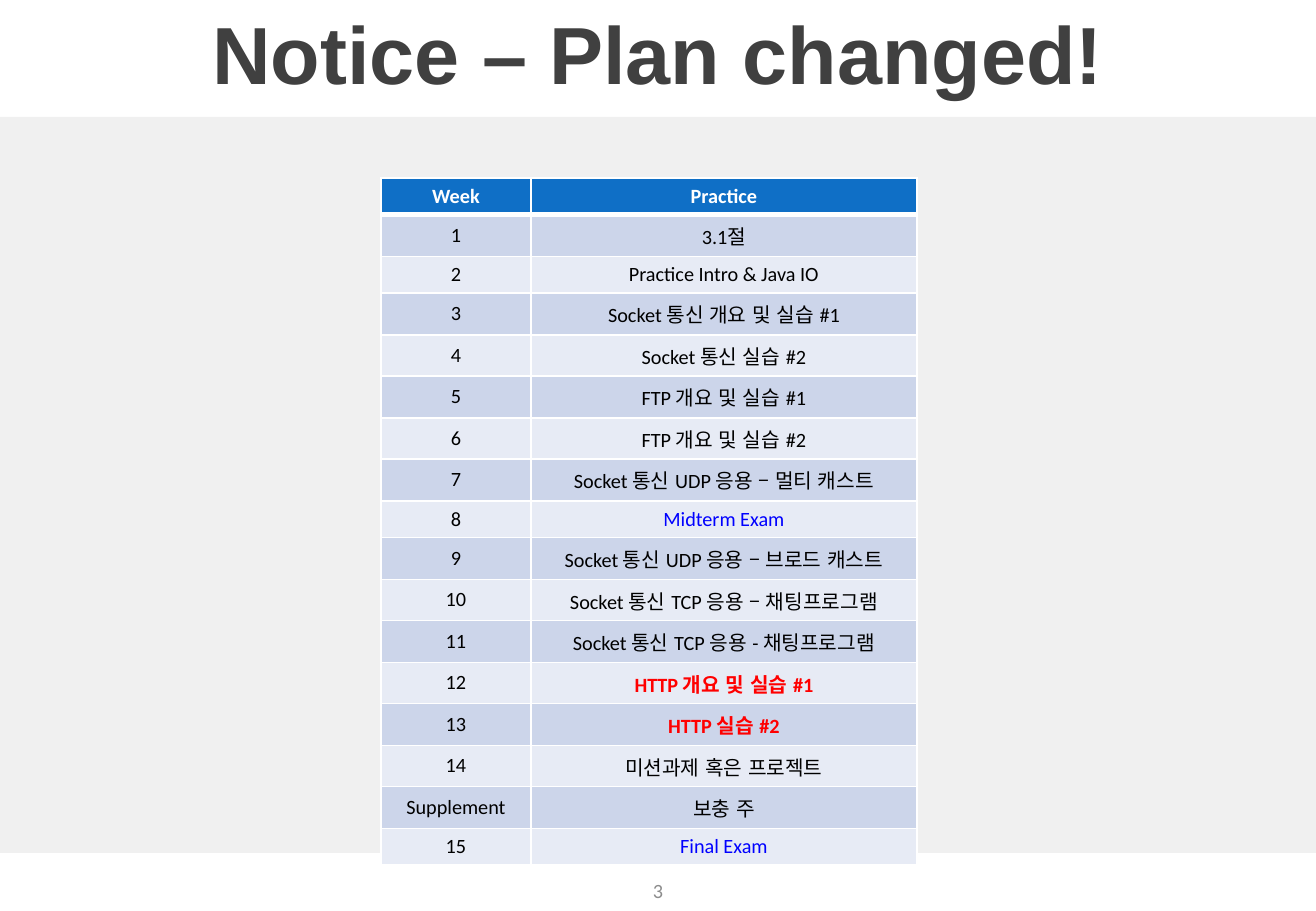
"""Build the course notice slide with its weekly practice plan."""
from lxml.etree import SubElement as Sub
from pptx import Presentation
from pptx.dml.color import RGBColor as RGB
from pptx.enum.shapes import MSO_SHAPE as Shape
from pptx.enum.text import MSO_ANCHOR as Anchor, PP_ALIGN as Align
from pptx.oxml.ns import qn
from pptx.util import Pt

WHITE = RGB(0xFF, 0xFF, 0xFF)
BLACK = RGB(0, 0, 0)
BLUE = RGB(0, 0, 0xFF)
RED = RGB(0xFF, 0, 0)
HEAD = RGB(0x0F, 0x6F, 0xC6)
BANDS = RGB(0xE7, 0xEB, 0xF5), RGB(0xCC, 0xD5, 0xEA)
PANEL = RGB(0xD9, 0xD9, 0xD9)
DARK = RGB(0x40, 0x40, 0x40)
GREY = RGB(0x8C, 0x8C, 0x8C)

TITLE = "Notice – Plan changed!"
PAGE = "3"
PLAN = [
    ("Week", "Practice"),
    ("1", "3.1절"),
    ("2", "Practice Intro & Java IO"),
    ("3", "Socket 통신 개요 및 실습 #1"),
    ("4", "Socket 통신 실습 #2"),
    ("5", "FTP 개요 및 실습 #1"),
    ("6", "FTP 개요 및 실습 #2"),
    ("7", "Socket 통신 UDP 응용 – 멀티 캐스트"),
    ("8", "Midterm Exam"),
    ("9", "Socket 통신 UDP 응용 – 브로드 캐스트"),
    ("10", "Socket 통신 TCP 응용 – 채팅프로그램"),
    ("11", "Socket 통신 TCP 응용 - 채팅프로그램"),
    ("12", "HTTP 개요 및 실습 #1"),
    ("13", "HTTP 실습 #2"),
    ("14", "미션과제 혹은 프로젝트"),
    ("Supplement", "보충 주"),
    ("15", "Final Exam"),
]
COLS = 150, 386
LOW, TALL = 36, 41
HANGUL = "맑은 고딕"
SCALE = 7526


def px(*vals):
    return [val * SCALE for val in vals]


def write(frame, text, face, size, color, bold=False):
    frame.text = text
    para = frame.paragraphs[0]
    para.alignment = Align.CENTER
    font = para.runs[0].font
    font.name, font.size, font.bold = face, Pt(size), bold
    font.color.rgb = color
    return para


def label(slide, box, *style):
    frame = slide.shapes.add_textbox(*px(*box)).text_frame
    frame.word_wrap = True
    frame.vertical_anchor = Anchor.MIDDLE
    return write(frame, *style)


def border(cell, row):
    props = cell._tc.get_or_add_tcPr()
    for side in "LRTB":
        thick = (row, side) in ((0, "B"), (1, "T"))
        line = Sub(props, qn("a:ln" + side), w=str(Pt(3 if thick else 1)))
        fill = Sub(line, qn("a:solidFill"))
        Sub(fill, qn("a:srgbClr"), val=str(WHITE))


def style(row, col, text):
    if row == 0:
        return WHITE, True
    if col and text.startswith("HTTP"):
        return RED, True
    return (BLUE if text.endswith("Exam") else BLACK), False


def height(row):
    return LOW if PLAN[row][1].isascii() else TALL + row % 2


def add_panel(slide):
    panel = slide.shapes.add_shape(Shape.RECTANGLE, *px(0, 117, 1316, 736))
    panel.shadow.inherit = False
    panel.line.fill.background()
    panel.fill.solid()
    panel.fill.fore_color.rgb = PANEL
    tint = panel.fill._xPr.find(".//" + qn("a:srgbClr"))
    Sub(tint, qn("a:alpha"), val="38000")


def add_plan(slide):
    highs = [height(row) for row in range(len(PLAN))]
    box = px(381, 178, sum(COLS), sum(highs))
    table = slide.shapes.add_table(len(PLAN), len(COLS), *box).table
    for col, wide in zip(table.columns, px(*COLS)):
        col.width = wide
    for row, texts in enumerate(PLAN):
        table.rows[row].height = highs[row] * SCALE
        for col, text in enumerate(texts):
            cell = table.cell(row, col)
            cell.vertical_anchor = Anchor.MIDDLE
            border(cell, row)
            cell.fill.solid()
            cell.fill.fore_color.rgb = BANDS[row % 2] if row else HEAD
            look = style(row, col, text)
            para = write(cell.text_frame, text, "Calibri", 12, *look)
            if not text.isascii():
                props = para.runs[0]._r.get_or_add_rPr()
                props.set("lang", "ko-KR")
                Sub(props, qn("a:ea"), typeface=HANGUL)


def main():
    deck = Presentation()
    deck.slide_width, deck.slide_height = px(1316, 911)
    slide = deck.slides.add_slide(deck.slide_layouts[6])
    add_panel(slide)
    label(slide, (510, 866, 296, 49), PAGE, "Calibri", 12, GREY)
    title = label(slide, (144, 15, 1028, 86), TITLE, "Arial", 48, DARK, True)
    title.line_spacing = 0.9
    add_plan(slide)
    deck.save("out.pptx")


if __name__ == "__main__":
    main()
